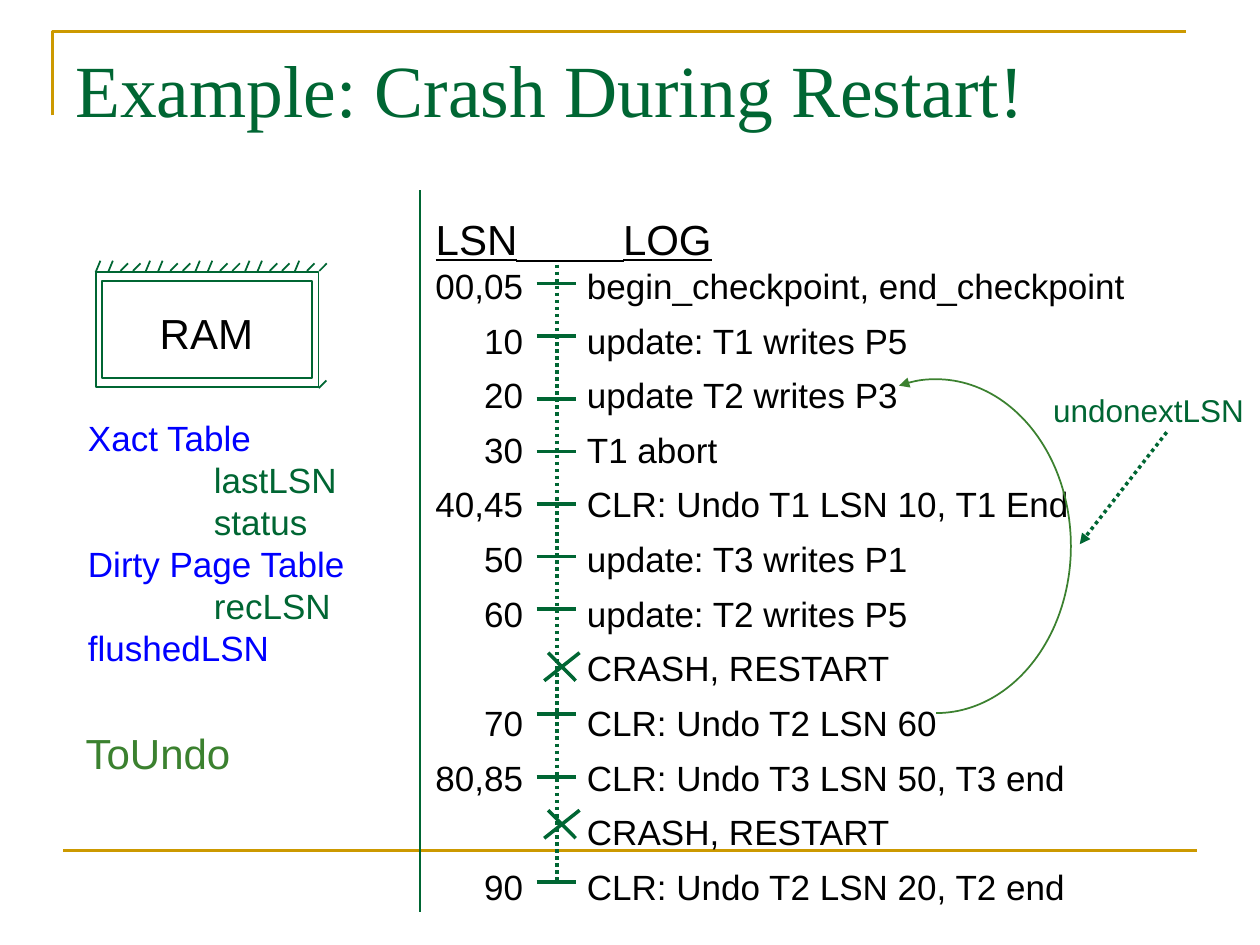
from lxml.etree import SubElement
from pptx import Presentation
from pptx.dml.color import RGBColor
from pptx.enum.dml import MSO_LINE
from pptx.enum.shapes import MSO_CONNECTOR, MSO_SHAPE
from pptx.enum.text import PP_ALIGN
from pptx.oxml.ns import qn
from pptx.util import Pt

GREEN, LEAF, GOLD, BLUE, BLACK = "006633", "3B812F", "CC9900", "0000FF", "000000"

TITLE = "Example: Crash During Restart!"
CRASH = "CRASH, RESTART"
# LSN, log entry, height of its mark on the time line
LOG = [
    ("00,05", "begin_checkpoint, end_checkpoint", 162),
    ("10", "update: T1 writes P5", 192),
    ("20", "update T2 writes P3", 228),
    ("30", "T1 abort", 258),
    ("40,45", "CLR: Undo T1 LSN 10, T1 End", 288),
    ("50", "update: T3 writes P1", 318),
    ("60", "update: T2 writes P5", 348),
    ("", CRASH, 381),
    ("70", "CLR: Undo T2 LSN 60", 408),
    ("80,85", "CLR: Undo T3 LSN 50, T3 end", 444),
    ("", CRASH, 471),
    ("90", "CLR: Undo T2 LSN 20, T2 end", 504),
]
RAM_TABLES = [
    ("Xact Table", BLUE),
    ("\tlastLSN", GREEN),
    ("\tstatus", GREEN),
    ("Dirty Page Table", BLUE),
    ("\trecLSN", GREEN),
    ("flushedLSN", BLUE),
]
LOG_TOP, LOG_HEIGHT, LOG_PITCH = 140.4, 381.6, 31.2
AXIS_X = 318.25
HATCHES, HATCH_LEFT, HATCH_GAP = 19, 54.7, 7.1

presentation = Presentation()
presentation.slide_width, presentation.slide_height = Pt(720), Pt(540)
slide = presentation.slides.add_slide(presentation.slide_layouts[6])
shapes = slide.shapes


def rgb(color):
    return RGBColor.from_string(color)


def style_line(shape, color, width):
    shape.line.color.rgb = rgb(color)
    shape.line.width = Pt(width)


def add_arrowhead(shape, end):
    """Put a triangle at "headEnd" (start) or "tailEnd" (finish)."""
    SubElement(shape.line._get_or_add_ln(), qn("a:" + end), type="triangle")


def add_line(x1, y1, x2, y2, color=GREEN, width=1, dotted=False):
    line = shapes.add_connector(MSO_CONNECTOR.STRAIGHT, Pt(x1), Pt(y1), Pt(x2), Pt(y2))
    style_line(line, color, width)
    if dotted:
        line.line.dash_style = MSO_LINE.ROUND_DOT
    SubElement(line._element.spPr, qn("a:effectLst"))
    return line


def add_outline(shape, color=GREEN, width=1):
    """Leave a shape with nothing but its line."""
    shape.shadow.inherit = False
    shape.fill.background()
    style_line(shape, color, width)
    return shape


def add_text(box, lines, size, pitch=None, font="Arial", tab=None, align=PP_ALIGN.LEFT,
             underline=None):
    """Write (text, colour) lines; an empty text becomes space before the next line."""
    pitch = pitch or 1.2 * size
    frame = shapes.add_textbox(*map(Pt, box)).text_frame
    frame.word_wrap = True
    paragraph, gap = frame.paragraphs[0], 0
    for text, color in lines:
        if not text:
            gap += pitch
            continue
        if paragraph.text:
            paragraph = frame.add_paragraph()
        paragraph.text = text
        paragraph.alignment = align
        paragraph.line_spacing = Pt(pitch)
        if gap:
            paragraph.space_before = Pt(gap)
            gap = 0
        if tab:
            tabs = SubElement(paragraph._p.get_or_add_pPr(), qn("a:tabLst"))
            SubElement(tabs, qn("a:tab"), pos=str(Pt(tab)), algn="l")
        paragraph.font.name = font
        paragraph.font.size = Pt(size)
        paragraph.font.underline = underline
        paragraph.font.color.rgb = rgb(color)


# Frame and title
corner = shapes.build_freeform(30, 66, scale=Pt(1))
corner.add_line_segments([(30, 18), (678, 18)], close=False)
add_outline(corner.convert_to_shape(), GOLD, 1.5)
add_line(36, 486, 684, 486, GOLD, 1.5)
add_text((36, 21.6, 648, 90), [(TITLE, GREEN)], 42, font="Times New Roman")

# Log with its time line
add_line(240, 108.7, 240, 521.3)
add_text((241.9, 118.5, 190, 36), [("LSN\tLOG", BLACK)], 24, tab=107, underline=True)
add_line(295, 149.1, 356.5, 149.1, BLACK, 1.25)  # carries the underline across the tab
add_text((236, LOG_TOP, 70, LOG_HEIGHT), [(lsn, BLACK) for lsn, _, _ in LOG],
         20, LOG_PITCH, align=PP_ALIGN.RIGHT)
add_text((328.3, LOG_TOP, 340, LOG_HEIGHT), [(entry, BLACK) for _, entry, _ in LOG],
         20, LOG_PITCH)
add_line(AXIS_X, 151.2, AXIS_X, 503.3, width=2, dotted=True)
for _, entry, y in LOG:
    if entry == CRASH:
        add_line(313.2, y - 8, 329, y + 8, width=2)
        add_line(331.2, y - 8, 311, y + 8, width=2)
    else:
        add_line(306.7, y, 329, y, width=2)

# RAM block with hatched edge
add_outline(shapes.add_shape(MSO_SHAPE.RECTANGLE, Pt(54.7), Pt(155.5), Pt(127.4), Pt(65.8)))
add_outline(shapes.add_shape(MSO_SHAPE.RECTANGLE, Pt(58.3), Pt(160.6), Pt(120.2), Pt(55.4)))
add_text((84.2, 172.3, 72, 36), [("RAM", BLACK)], 24)
for i in range(HATCHES):
    x = HATCH_LEFT + i * HATCH_GAP
    if i % 4 < 2 and i < HATCHES - 2:
        add_line(x, 155.5, x + 2.7, 149)
    else:
        add_line(x, 154.8, x + 4.3, 150.5)
add_line(182.2, 221.8, 186.5, 217.4)
add_text((43.2, 234.7, 175, 175), RAM_TABLES, 20, tab=72)
add_text((41.8, 412, 110, 36), [("ToUndo", LEAF)], 24)

# undonextLSN pointer
add_text((594.7, 220.1, 125, 28.8), [("undonextLSN", GREEN)], 18)
add_arrowhead(add_line(666.7, 247, 617, 311, width=2, dotted=True), "tailEnd")
arc = add_outline(shapes.add_shape(MSO_SHAPE.ARC, Pt(457.9), Pt(216.7), Pt(154.1), Pt(190.8)), LEAF)
for i, degrees in enumerate((257, 90)):
    arc.adjustments[i] = degrees * 0.6  # 60000 units per degree, scaled by 100000
add_arrowhead(arc, "headEnd")

presentation.save("out.pptx")
